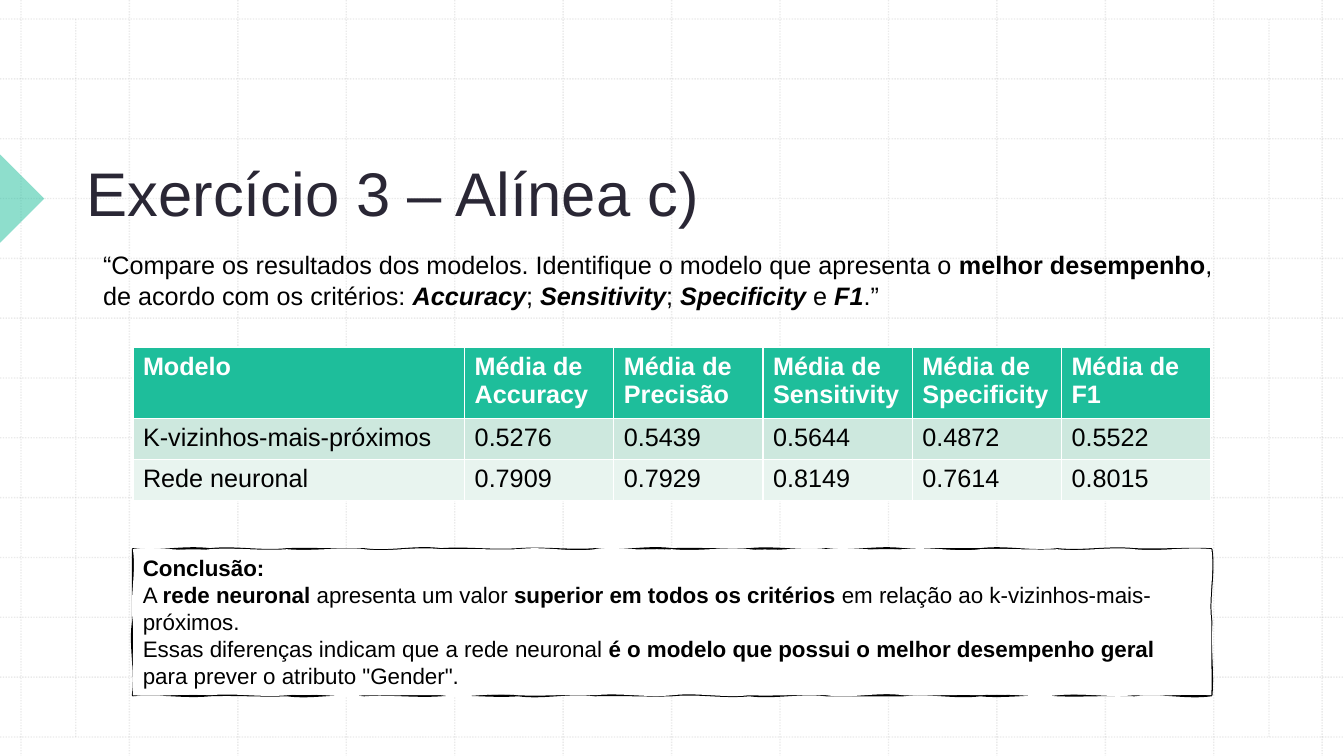
from math import sin

from pptx import Presentation
from pptx.dml.color import RGBColor
from pptx.enum.dml import MSO_LINE
from pptx.enum.shapes import MSO_CONNECTOR, MSO_SHAPE
from pptx.enum.text import MSO_ANCHOR, PP_ALIGN
from pptx.oxml.ns import qn
from pptx.util import Cm, Pt
from lxml.etree import SubElement

COLORS = {
    "white": "FFFFFF",
    "black": "000000",
    "grid": "BCBCBC",
    "title": "2A2735",
    "green": "1EBE9B",
    "band_dark": "CDE8DE",
    "band_light": "E8F4EF",
}
FONT = "Arial"
WIDTH, HEIGHT = 33.87, 19.05
GRID_STEPS = 12
GRID_LEFT, GRID_RIGHT = 0.53, 33.32
GRID_TOP, GRID_BOTTOM = 0.48, 18.57
MARGINS = (1.91, 31.98)

# Each run is (text, style), where the style may hold "b" for bold and "i" for italic.
QUESTION = [[
    ("“Compare os resultados dos modelos. Identifique o modelo que apresenta o ", ""),
    ("melhor desempenho", "b"),
    (", de acordo com os critérios: ", ""),
    ("Accuracy", "bi"), ("; ", ""),
    ("Sensitivity", "bi"), ("; ", ""),
    ("Specificity", "bi"), (" e ", ""),
    ("F1", "bi"), (".”", ""),
]]
CONCLUSION = [
    [("Conclusão:", "b")],
    [
        ("A ", ""), ("rede neuronal", "b"),
        (" apresenta um valor ", ""),
        ("superior em todos os critérios", "b"),
        (" em relação ao k-vizinhos-mais-próximos.", ""),
    ],
    [
        ("Essas diferenças indicam que a rede neuronal ", ""),
        ("é o modelo que possui o melhor desempenho geral", "b"),
        (' para prever o atributo "Gender".', ""),
    ],
]
RESULTS = [
    ["Modelo", "Média de Accuracy", "Média de Precisão", "Média de Sensitivity",
     "Média de Specificity", "Média de F1"],
    ["K-vizinhos-mais-próximos", "0.5276", "0.5439", "0.5644", "0.4872", "0.5522"],
    ["Rede neuronal", "0.7909", "0.7929", "0.8149", "0.7614", "0.8015"],
]


def rgb(name):
    return RGBColor.from_string(COLORS[name])


def set_opacity(shape, percent):
    for color in shape.element.spPr.iter(qn("a:srgbClr")):
        SubElement(color, qn("a:alpha"), val=str(percent * 1000))


def set_font(paragraph, size, color):
    paragraph.font.name = FONT
    paragraph.font.size = Pt(size)
    paragraph.font.color.rgb = rgb(color)


def write_text(shape, paragraphs, size, color="black", anchor=MSO_ANCHOR.TOP):
    frame = shape.text_frame
    frame.word_wrap = True
    frame.vertical_anchor = anchor
    for index, runs in enumerate(paragraphs):
        paragraph = frame.add_paragraph() if index else frame.paragraphs[0]
        paragraph.alignment = PP_ALIGN.LEFT
        set_font(paragraph, size, color)
        for text, style in runs:
            run = paragraph.add_run()
            run.text = text
            run.font.bold = "b" in style
            run.font.italic = "i" in style


def add_text(slide, left, top, width, height, paragraphs, size, **options):
    box = slide.shapes.add_textbox(Cm(left), Cm(top), Cm(width), Cm(height))
    write_text(box, paragraphs, size, **options)


def add_grid_line(slide, x1, y1, x2, y2):
    line = slide.shapes.add_connector(
        MSO_CONNECTOR.STRAIGHT, Cm(x1), Cm(y1), Cm(x2), Cm(y2))
    line.line.color.rgb = rgb("grid")
    line.line.width = Pt(1)
    line.line.dash_style = MSO_LINE.ROUND_DOT
    set_opacity(line, 30)
    SubElement(line.element.spPr, qn("a:effectLst"))


def add_grid(slide):
    for step in range(GRID_STEPS + 1):
        x = GRID_LEFT + step * (GRID_RIGHT - GRID_LEFT) / GRID_STEPS
        y = GRID_TOP + step * (GRID_BOTTOM - GRID_TOP) / GRID_STEPS
        add_grid_line(slide, x, 0, x, HEIGHT)
        add_grid_line(slide, 0, y, WIDTH, y)
    for x in MARGINS:
        add_grid_line(slide, x, GRID_TOP, x, GRID_BOTTOM)


def add_title_marker(slide):
    marker = slide.shapes.add_shape(
        MSO_SHAPE.RIGHT_TRIANGLE, Cm(-0.78), Cm(4.22), Cm(1.57), Cm(1.57))
    marker.rotation = 225
    marker.shadow.inherit = False
    marker.fill.solid()
    marker.fill.fore_color.rgb = rgb("green")
    marker.line.fill.background()
    set_opacity(marker, 50)


def add_results_table(slide):
    widths = [8.36] + [3.76] * 5
    heights = [1.73, 1.04, 1.04]
    fills = ["green", "band_dark", "band_light"]
    table = slide.shapes.add_table(
        len(heights), len(widths), Cm(3.35), Cm(8.76),
        Cm(sum(widths)), Cm(sum(heights))).table
    for column, width in zip(table.columns, widths):
        column.width = Cm(width)
    for row_index, (row, height, fill) in enumerate(zip(table.rows, heights, fills)):
        row.height = Cm(height)
        for cell, text in zip(row.cells, RESULTS[row_index]):
            cell.text = text
            cell.fill.solid()
            cell.fill.fore_color.rgb = rgb(fill)
            paragraph = cell.text_frame.paragraphs[0]
            set_font(paragraph, 18, "black" if row_index else "white")
            paragraph.font.bold = row_index == 0


def add_wavy_path(path_list, corners, seed, **options):
    """Add a closed path of curves that waver around the straight edges."""
    right, bottom = corners[2]
    path = SubElement(path_list, qn("a:path"),
                      w=str(Cm(right)), h=str(Cm(bottom)), **options)

    def add_points(command, *points):
        parent = SubElement(path, qn(command))
        for x, y in points:
            SubElement(parent, qn("a:pt"), x=str(Cm(x)), y=str(Cm(y)))

    add_points("a:moveTo", corners[0])
    for side, (x1, y1) in enumerate(corners):
        x2, y2 = corners[(side + 1) % 4]
        horizontal = side % 2 == 0
        count = 14 if horizontal else 2
        for step in range(count):
            sway = 0.09 * sin(seed * (step + 3 * side + 1))
            curve = []
            for third, shift in ((1, sway), (2, -sway), (3, 0)):
                part = (step + third / 3) / count
                curve.append((x1 + (x2 - x1) * part + (0 if horizontal else shift),
                              y1 + (y2 - y1) * part + (shift if horizontal else 0)))
            add_points("a:cubicBezTo", *curve)
    SubElement(path, qn("a:close"))


def add_conclusion(slide):
    left, top, width, height = 3.35, 13.84, 27.18, 3.68
    corners = [(0, 0), (width, 0), (width, height), (0, height)]
    points = [(Cm(left + x), Cm(top + y)) for x, y in corners]
    builder = slide.shapes.build_freeform(*points[0])
    builder.add_line_segments(points[1:], close=True)
    box = builder.convert_to_shape()
    path_list = next(box.element.spPr.iter(qn("a:pathLst")))
    path_list.remove(path_list[0])
    add_wavy_path(path_list, corners, 2, fill="none")
    add_wavy_path(path_list, corners, 5, stroke="0")
    box.shadow.inherit = False
    box.fill.solid()
    box.fill.fore_color.rgb = rgb("white")
    box.line.color.rgb = rgb("black")
    box.line.width = Pt(1.5)
    write_text(box, CONCLUSION, 16)


def main():
    presentation = Presentation()
    presentation.slide_width = Cm(WIDTH)
    presentation.slide_height = Cm(HEIGHT)
    slide = presentation.slides.add_slide(presentation.slide_layouts[6])
    add_grid(slide)
    add_title_marker(slide)
    add_text(slide, 1.93, 2.01, 29.16, 3.89, [[("Exercício 3 – Alínea c)", "")]], 44,
             color="title", anchor=MSO_ANCHOR.BOTTOM)
    add_text(slide, 2.35, 6.17, 29.16, 1.8, QUESTION, 18)
    add_results_table(slide)
    add_conclusion(slide)
    presentation.save("out.pptx")


if __name__ == "__main__":
    main()
